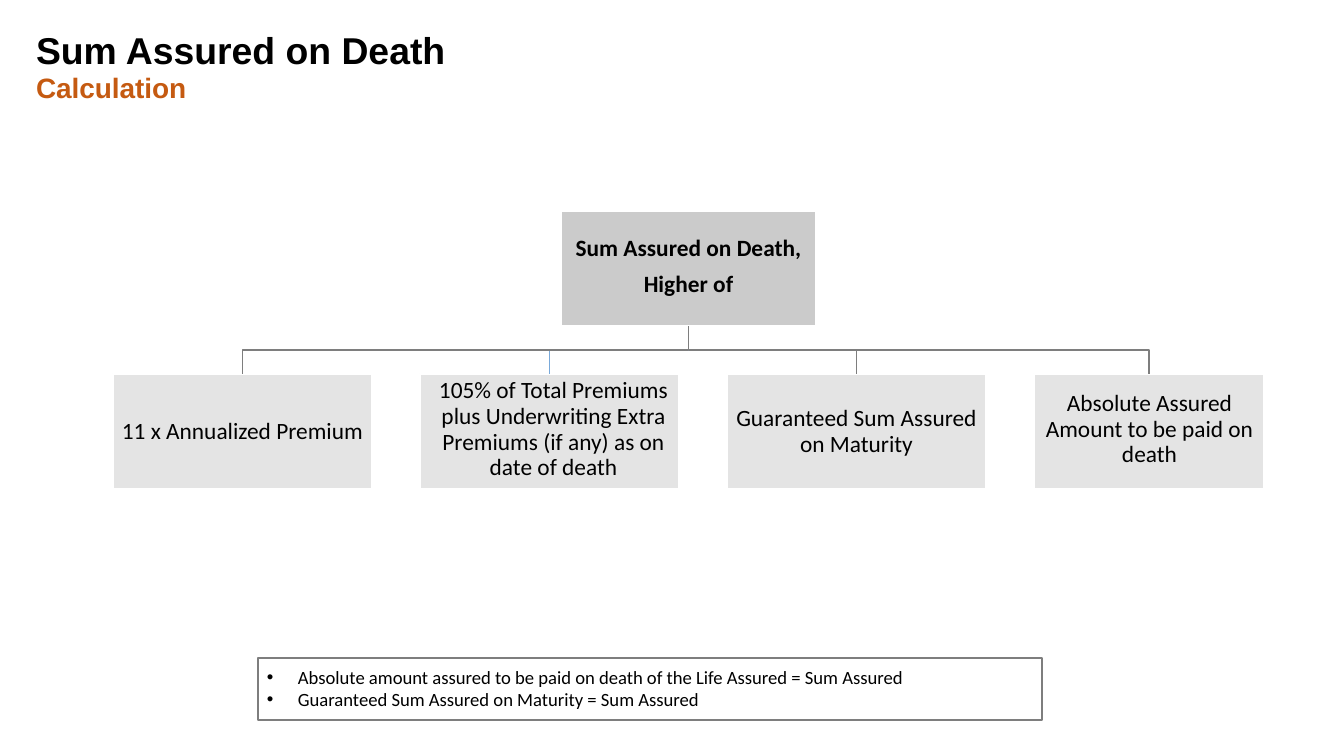
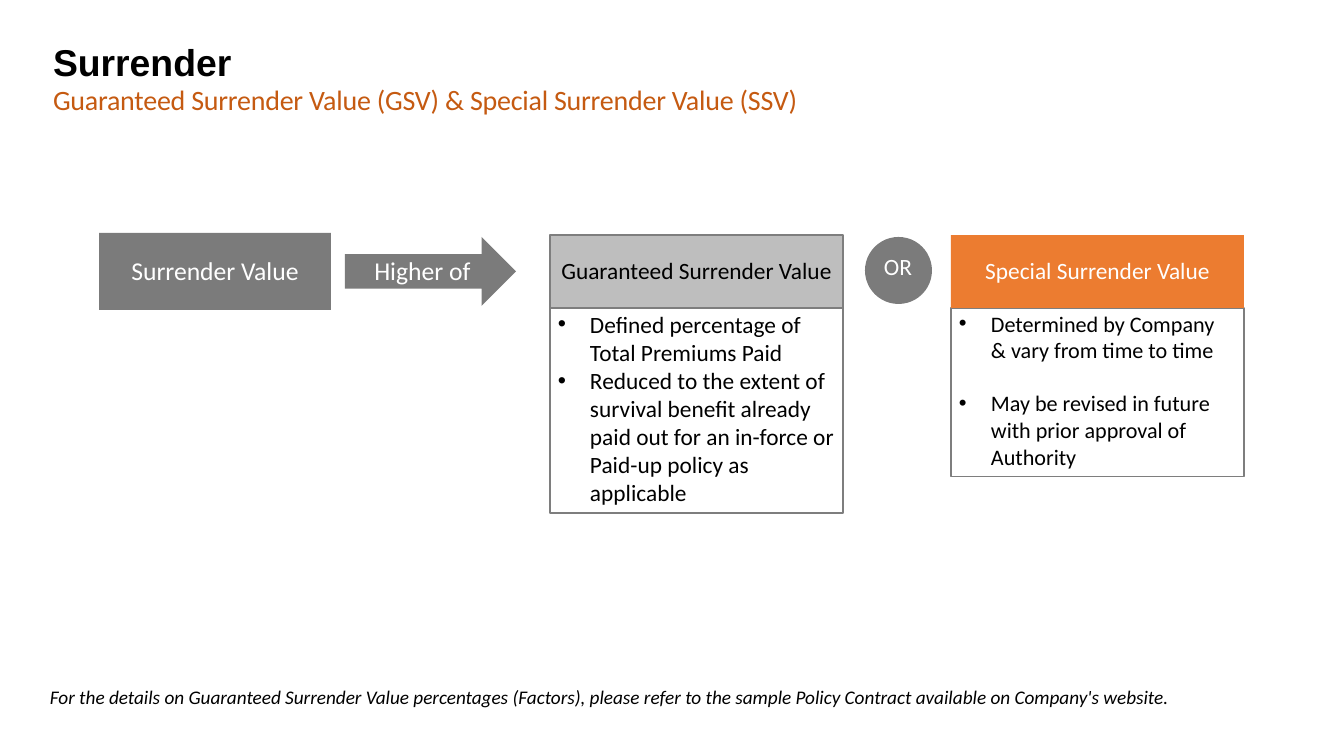
import lxml.etree
import pptx
import pptx.dml.color
import pptx.enum.shapes
import pptx.enum.text
import pptx.oxml.ns
import pptx.util

SHAPE = pptx.enum.shapes.MSO_SHAPE
ALIGN = pptx.enum.text.PP_ALIGN
ANCHOR = pptx.enum.text.MSO_ANCHOR
PX = 914400 / 84


class Theme:
    heading_font, body_font = "Arial", "Calibri"
    black, white, accent = "000000", "FFFFFF", "C55A11"
    outline, blue = "7E7E7E", "79A9DA"
    dark, mid, light, orange = "7B7B7B", "BEBEBE", "D9D9D9", "EC7C30"
    title, subtitle, label, body, small, footer = 32, 24, 22, 20, 16, 16.5


# Content
ROOT = "Sum Assured on Death, Higher of"
OPTIONS = [  # text, width, branch colour, text insets
    ("11 x Annualized Premium", 259, Theme.outline, (4, 0, 4, 0)),
    ("105% of Total Premiums plus Underwriting Extra Premiums (if any) as on date of death",
     259, Theme.blue, (12, 0, 4, 4)),
    ("Guaranteed Sum Assured on Maturity", 259, Theme.outline, (4, 0, 4, 0)),
    ("Absolute Assured Amount to be paid on death", 230, Theme.outline, (5, 0, 4, 4)),
]
DEFINITIONS = [
    "Absolute amount assured to be paid on death of the Life Assured = Sum Assured",
    "Guaranteed Sum Assured on Maturity = Sum Assured",
]
VALUES = [
    dict(head="Guaranteed Surrender Value", left=550, height=205, fill=Theme.mid,
         color=Theme.black, edge=Theme.outline, size=Theme.body, gap=0, right=0,
         points=["Defined percentage of Total Premiums Paid",
                 "Reduced to the extent of survival benefit already paid out for an "
                 "in-force or Paid-up policy as applicable"]),
    dict(head="Special Surrender Value", left=951, height=169, fill=Theme.orange,
         color=Theme.white, edge=None, size=19, gap=22.8, right=28,
         points=["Determined by Company & vary from time to time",
                 "May be revised in future with prior approval of Authority"]),
]
FOOTNOTE = ("For the details on Guaranteed Surrender Value percentages (Factors), please refer "
            "to the sample Policy Contract available on Company's website.")


def px(*lengths):
    return [round(n * PX) for n in lengths]


def rgb(value):
    return pptx.dml.color.RGBColor.from_string(value)


def add_xml(parent, tag, **attributes):
    return lxml.etree.SubElement(parent, pptx.oxml.ns.qn(tag), **attributes)


def set_frame(tf, insets, anchor):
    tf.word_wrap = True
    tf.auto_size = pptx.enum.text.MSO_AUTO_SIZE.NONE
    tf.vertical_anchor = anchor
    tf.margin_left, tf.margin_top, tf.margin_right, tf.margin_bottom = px(*insets)


def add_text(p, text, size=Theme.body, color=Theme.black, font=Theme.body_font, bold=False,
             italic=False, align=ALIGN.CENTER, line=None, before=0, track=0, bullet=0):
    """Fill a paragraph; bullet is the hanging indent in px."""
    p.alignment = align
    p.space_before = pptx.util.Pt(before)
    if line:
        p.line_spacing = line
    if bullet:
        indent = px(bullet)[0]
        pPr = p._p.get_or_add_pPr()
        pPr.set("marL", str(indent))
        pPr.set("indent", str(-indent))
        add_xml(pPr, "a:buFont", typeface="Arial")
        add_xml(pPr, "a:buChar", char="•")
    r = p.add_run()
    r.text = text
    r.font.size, r.font.name = pptx.util.Pt(size), font
    r.font.bold, r.font.italic = bold, italic
    r.font.color.rgb = rgb(color)
    if track:
        r._r.get_or_add_rPr().set("spc", str(track))


def add_box(slide, box, texts, fill=None, edge=None, alpha=None, kind=SHAPE.RECTANGLE,
            insets=(4, 0, 4, 2), anchor=ANCHOR.MIDDLE, gap=0, **fmt):
    sp = slide.shapes.add_shape(kind, *px(*box))
    sp.shadow.inherit = False
    if fill:
        sp.fill.solid()
        sp.fill.fore_color.rgb = rgb(fill)
        if alpha:
            color = sp._element.spPr.find(".//" + pptx.oxml.ns.qn("a:srgbClr"))
            add_xml(color, "a:alpha", val=str(alpha * 1000))
    else:
        sp.fill.background()
    if edge:
        sp.line.color.rgb = rgb(edge)
        sp.line.width = pptx.util.Pt(1)
    else:
        sp.line.fill.background()
    tf = sp.text_frame
    set_frame(tf, insets, anchor)
    for i, text in enumerate(texts):
        add_text(tf.add_paragraph() if i else tf.paragraphs[0], text,
                 before=gap if i else 0, **fmt)
    return sp


def add_branch(slide, parent, child, color):
    """Join parent's bottom to child's top with an elbow that leaves downwards."""
    line = slide.shapes.add_connector(pptx.enum.shapes.MSO_CONNECTOR.ELBOW, 0, 0, 0, 0)
    line.begin_connect(parent, 2)
    line.end_connect(child, 0)
    x1, y1 = parent.left + parent.width // 2, parent.top + parent.height
    x2, y2 = child.left + child.width // 2, child.top
    # The elbow is stored lying on its side, then turned about its centre
    across, down = abs(x2 - x1), y2 - y1
    line.left, line.top = (x1 + x2 - down) // 2, (y1 + y2 - across) // 2
    line.width, line.height = down, across
    xfrm = line._element.spPr.find(pptx.oxml.ns.qn("a:xfrm"))
    for flip in ("flipH", "flipV"):
        xfrm.attrib.pop(flip, None)
    if x2 > x1:
        xfrm.set("flipH", "1")
    xfrm.set("rot", "16200000" if x2 > x1 else "5400000")
    line.line.color.rgb = rgb(color)
    line.line.width = pptx.util.Pt(1)
    add_xml(line._element.spPr, "a:effectLst")


def add_slide(prs, title, subtitle, left, top, **subtitle_format):
    slide = prs.slides.add_slide(prs.slide_layouts[5])
    sp = slide.shapes.title
    sp.left, sp.top, sp.width, sp.height = px(8, 13, 904, 103)
    tf = sp.text_frame
    set_frame(tf, (left, top, 0, 0), ANCHOR.TOP)
    add_text(tf.paragraphs[0], title, size=Theme.title, font=Theme.heading_font, bold=True,
             align=ALIGN.LEFT, line=pptx.util.Pt(37), before=1)
    add_text(tf.add_paragraph(), subtitle, size=Theme.subtitle, color=Theme.accent,
             align=ALIGN.LEFT, line=pptx.util.Pt(27.5), **subtitle_format)
    return slide


def build_death_benefit(prs):
    slide = add_slide(prs, "Sum Assured on Death", "Calculation", 28, 16,
                      font=Theme.heading_font, bold=True, track=-5)
    # Tree: root, options and the branches between them
    left, gap, height, option_top = 113, 48, 115, 374
    root = add_box(slide, (561, 211, 255, height), [ROOT], fill=Theme.mid, alpha=80,
                   edge=Theme.white, insets=(4, 0, 4, 14), bold=True, line=1.27)
    branches = []
    for text, width, color, insets in OPTIONS:
        option = add_box(slide, (left, option_top, width, height), [text], fill=Theme.light,
                         alpha=70, edge=Theme.white, insets=insets, line=0.92)
        branches.append((option, color))
        left += width + gap
    for option, color in reversed(branches):
        add_branch(slide, root, option, color)
    # Definitions
    add_box(slide, (258, 658, 784, 62), DEFINITIONS, edge=Theme.outline, insets=(9, 0, 9, 2),
            size=Theme.small, align=ALIGN.LEFT, bullet=31)


def build_surrender(prs):
    slide = add_slide(prs, "Surrender",
                      "Guaranteed Surrender Value (GSV) & Special Surrender Value (SSV)",
                      45, 28, track=-20)
    # Flow: value, arrow, alternatives
    dark = dict(fill=Theme.dark, color=Theme.white)
    add_box(slide, (99, 233, 232, 77), ["Surrender Value"], size=Theme.label, **dark)
    add_box(slide, (345, 237, 171, 69), ["Higher of"], kind=SHAPE.RIGHT_ARROW,
            size=Theme.label, insets=(1, 0, 0, 2), **dark)
    add_box(slide, (865, 237, 67, 67), ["OR"], kind=SHAPE.OVAL, insets=(0, 0, 1, 9), **dark)
    top, head_height, width = 235, 73, 293
    for value in VALUES:
        add_box(slide, (value["left"], top + head_height, width, value["height"]),
                value["points"], edge=Theme.outline, insets=(8, 2, value["right"], 0),
                anchor=ANCHOR.TOP, gap=value["gap"], size=value["size"],
                align=ALIGN.LEFT, bullet=32)
        add_box(slide, (value["left"], top, width, head_height), [value["head"]],
                fill=value["fill"], edge=value["edge"], color=value["color"])
    # Footnote
    note = slide.shapes.add_textbox(*px(49, 684, 1143, 26))
    set_frame(note.text_frame, (1, 1, 0, 0), ANCHOR.TOP)
    add_text(note.text_frame.paragraphs[0], FOOTNOTE, size=Theme.footer, italic=True,
             align=ALIGN.LEFT)


def main():
    prs = pptx.Presentation()
    prs.slide_width, prs.slide_height = px(16 * 84, 9 * 84)
    build_death_benefit(prs)
    build_surrender(prs)
    prs.save("out.pptx")


if __name__ == "__main__":
    main()
